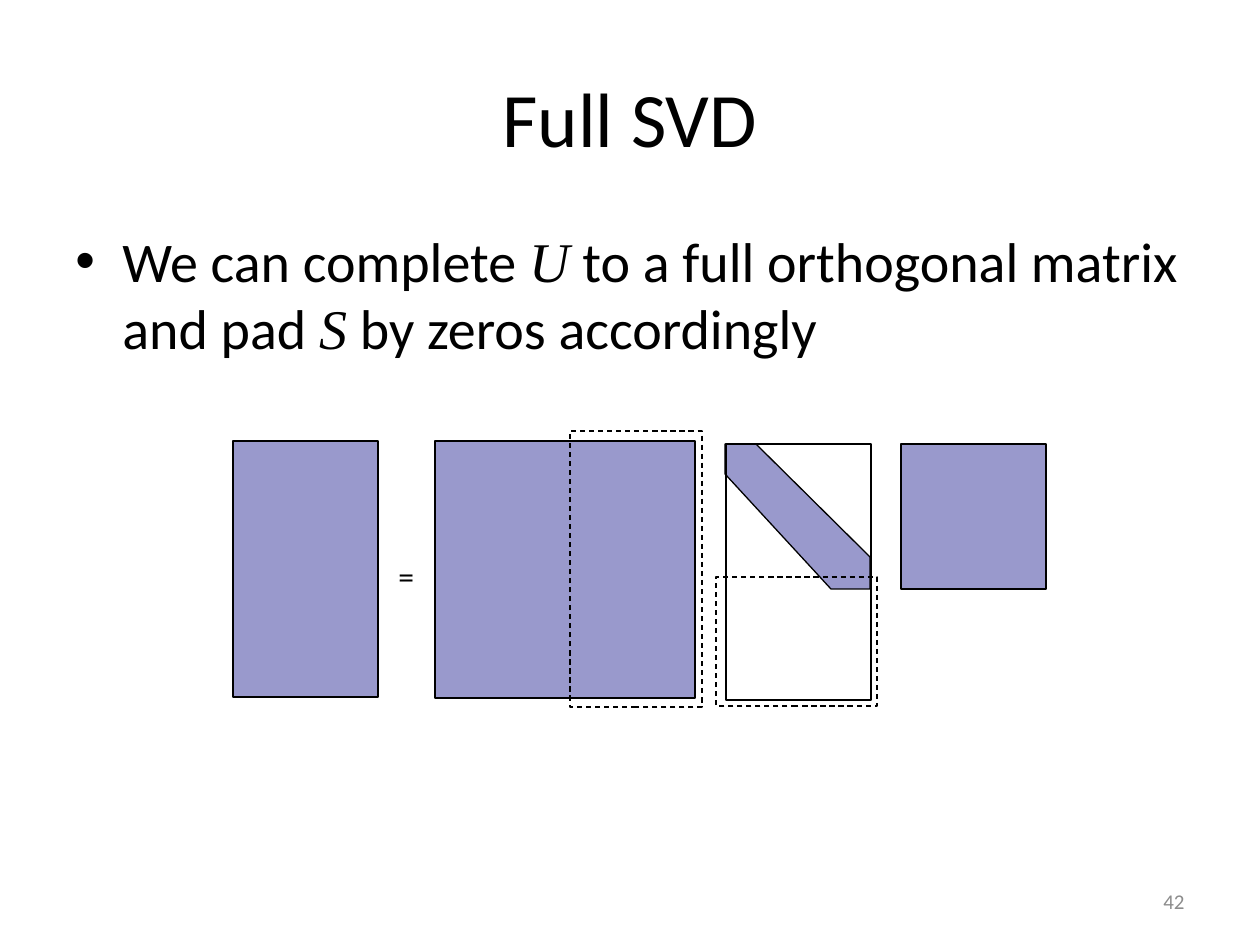
import lxml.etree
import pptx
import pptx.dml.color
import pptx.enum.dml
import pptx.enum.shapes
import pptx.enum.text
import pptx.oxml.ns
import pptx.util

PX = pptx.util.Inches(1) / 126
ALIGN = pptx.enum.text.PP_ALIGN
ANCHOR = pptx.enum.text.MSO_ANCHOR
MATRIX_FILL = "9999CC"


def px(length):
    """Turn a length in px into EMU."""
    return pptx.util.Emu(round(length * PX))


def color(hex_string):
    """Turn a hex string into a colour."""
    return pptx.dml.color.RGBColor.from_string(hex_string)


def add_text(slide, box, size, align, anchor, wrap=True, ink="000000"):
    """Add an empty text box and return its paragraph and a run writer."""
    frame = slide.shapes.add_textbox(*map(px, box)).text_frame
    frame.word_wrap = wrap
    frame.vertical_anchor = anchor
    paragraph = frame.paragraphs[0]
    paragraph.alignment = align

    def write(text, font="Calibri", italic=False):
        """Append one run to the paragraph."""
        run = paragraph.add_run()
        run.text = text
        run.font.name = font
        run.font.size = pptx.util.Pt(size)
        run.font.italic = italic
        run.font.color.rgb = color(ink)

    return paragraph, write


def style_shape(shape, fill=None, dashed=False):
    """Give a shape its fill and thin black outline."""
    shape.shadow.inherit = False
    if fill:
        shape.fill.solid()
        shape.fill.fore_color.rgb = color(fill)
    else:
        shape.fill.background()
    shape.line.color.rgb = color("000000")
    shape.line.width = pptx.util.Pt(0.75)
    if dashed:
        shape.line.dash_style = pptx.enum.dml.MSO_LINE.DASH


def add_title(slide, box):
    """Place the centred title."""
    _, write = add_text(slide, box, 44, ALIGN.CENTER, ANCHOR.MIDDLE)
    write("Full SVD")


def add_body(slide, box):
    """Place the bulleted sentence with italic matrix names."""
    paragraph, write = add_text(slide, box, 32, ALIGN.LEFT, ANCHOR.TOP)
    properties = paragraph._p.get_or_add_pPr()
    indent = px(47)
    properties.set("marL", str(indent))
    properties.set("indent", str(-indent))
    for tag, attribute, value in (("a:buFont", "typeface", "Arial"), ("a:buChar", "char", "•")):
        bullet = lxml.etree.SubElement(properties, pptx.oxml.ns.qn(tag))
        bullet.set(attribute, value)
    write("We can complete ")
    write("U", "Times New Roman", True)
    write(" to a full orthogonal matrix and pad ")
    write("S", "Times New Roman", True)
    write(" by zeros accordingly")


def add_diagram(slide, left, top):
    """Draw the matrix equation from the given corner."""

    def add_matrix(x, y, width, height, fill=None, dashed=False):
        """Draw one rectangle of the equation."""
        shape = slide.shapes.add_shape(
            pptx.enum.shapes.MSO_SHAPE.RECTANGLE,
            px(left + x), px(top + y), px(width), px(height))
        style_shape(shape, fill, dashed)

    add_matrix(202, 10, 260, 257, MATRIX_FILL)
    add_matrix(0, 10, 145, 256, MATRIX_FILL)
    add_matrix(668, 13, 145, 145, MATRIX_FILL)

    outline = [(0, 30), (0, 0), (31, 0), (145, 113), (145, 145), (106, 145)]
    points = [(px(left + 492 + x), px(top + 13 + y)) for x, y in outline]
    builder = slide.shapes.build_freeform(*points[0])
    builder.add_line_segments(points[1:], close=True)
    style_shape(builder.convert_to_shape(), MATRIX_FILL)

    add_matrix(493, 13, 145, 256)
    _, write = add_text(slide, (left + 153, top + 120, 44, 50), 18,
                        ALIGN.LEFT, ANCHOR.TOP, wrap=False)
    write("=")
    add_matrix(337, 0, 132, 276, dashed=True)
    add_matrix(483, 146, 161, 129, dashed=True)


def add_slide_number(slide, box):
    """Place the grey slide number."""
    _, write = add_text(slide, box, 12, ALIGN.RIGHT, ANCHOR.MIDDLE, ink="8C8C8C")
    write("42")


def main():
    """Build and save the slide."""
    presentation = pptx.Presentation()
    presentation.slide_width = px(1260)
    presentation.slide_height = px(945)
    slide = presentation.slides.add_slide(presentation.slide_layouts[6])
    add_title(slide, (63, 38, 1134, 158))
    add_body(slide, (63, 220, 1134, 588))
    add_diagram(slide, 233, 431)
    add_slide_number(slide, (903, 876, 294, 50))
    presentation.save("out.pptx")


if __name__ == "__main__":
    main()
